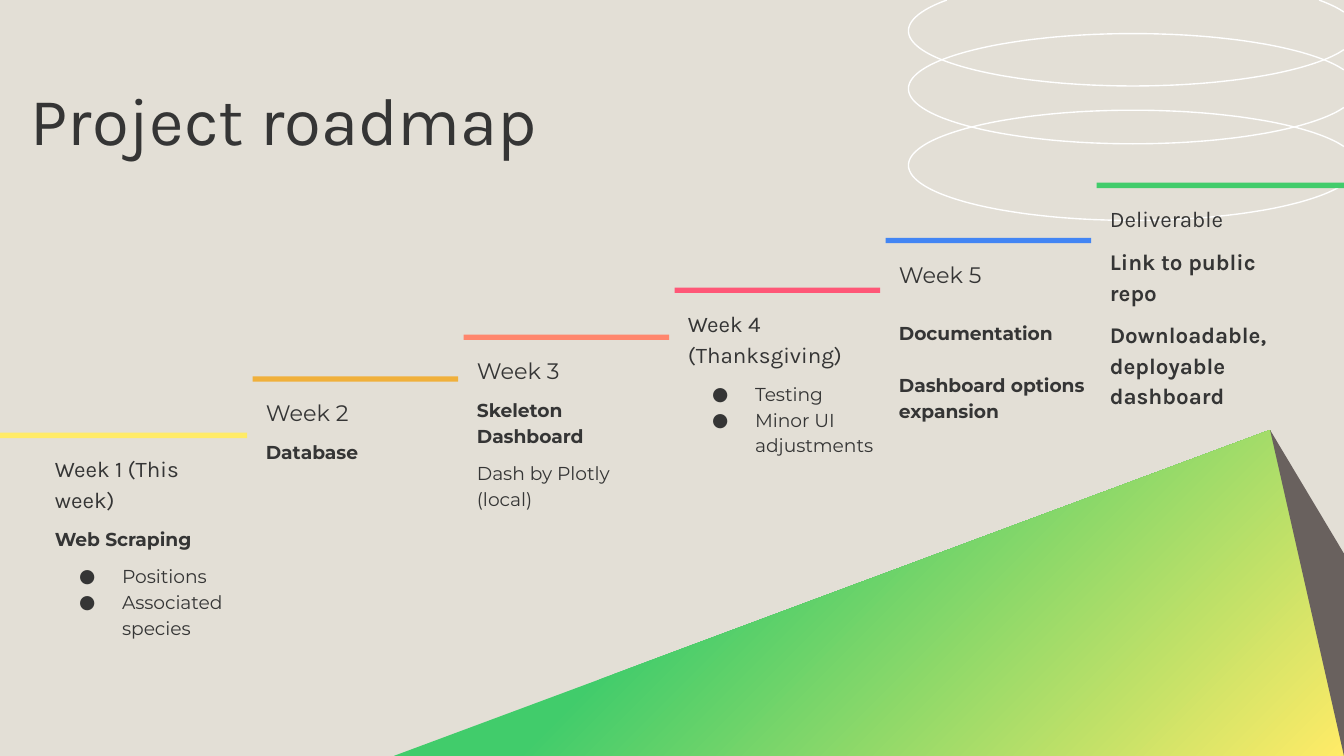
from dataclasses import dataclass
from math import cos, radians, sin

from lxml.etree import SubElement as Sub
from pptx import Presentation
from pptx.dml.color import RGBColor as Rgb
from pptx.enum.shapes import MSO_SHAPE as Kind
from pptx.oxml.ns import qn
from pptx.util import Inches, Pt


@dataclass(frozen=True)
class Theme:
    back: str = "E3DFD6"
    ink: str = "353535"
    ring: str = "FFFFFF"
    shade: str = "69615E"
    green: str = "41CC6B"
    yellow: str = "FFEB67"
    amber: str = "F0B03B"
    coral: str = "FF866D"
    pink: str = "FF5777"
    blue: str = "4285F4"
    karla: str = "Karla"
    mont: str = "Montserrat"
    title: int = 36
    head: int = 12
    body: int = 10


T = Theme()
WIDTH = 10
HEIGHT = WIDTH * 9 / 16
LEFT, STEP = 0.3, 1.57
WIDE, THICK = 1.53, 0.04


@dataclass
class Line:
    text: str
    size: int = T.body
    font: str = T.mont
    bold: bool = False
    dot: bool = False
    before: float = 6
    after: float = 0
    space: float = 1.15


@dataclass
class Stage:
    top: float
    color: str
    lines: list
    width: float = 1.52
    height: float = 1.3


def paint(shape, color):
    shape.shadow.inherit = False
    shape.fill.solid()
    shape.fill.fore_color.rgb = Rgb.from_string(color)
    shape.line.fill.background()


def add_bar(slide, left, top, width, color):
    bar = slide.shapes.add_shape(
        Kind.RECTANGLE, Inches(left), Inches(top), Inches(width), Inches(THICK))
    paint(bar, color)


def add_path(slide, points, close):
    spots = [(Inches(x), Inches(y)) for x, y in points]
    path = slide.shapes.build_freeform(*spots[0])
    path.add_line_segments(spots[1:], close=close)
    shape = path.convert_to_shape()
    shape.shadow.inherit = False
    return shape


def add_arc(slide, mid, start, end):
    turns = [radians(a) for a in range(start, end + 1, 2)]
    points = [(8.43 + 1.67 * cos(a), mid + 0.41 * sin(a)) for a in turns]
    arc = add_path(slide, points, False)
    arc.fill.background()
    arc.line.color.rgb = Rgb.from_string(T.ring)
    arc.line.width = Pt(0.75)


def add_peak(slide):
    tip, foot = (9.45, 3.2), (WIDTH, HEIGHT)
    face = add_path(slide, [tip, foot, (2.93, HEIGHT)], True)
    face.line.fill.background()
    face.fill.gradient()
    face.fill.gradient_angle = 315
    stops = zip(face.fill.gradient_stops, (0.35, 1), (T.green, T.yellow))
    for stop, place, color in stops:
        stop.position = place
        stop.color.rgb = Rgb.from_string(color)
    side = add_path(slide, [tip, foot, (WIDTH, 4.12)], True)
    paint(side, T.shade)


def add_dot(para, font):
    props = para._p.get_or_add_pPr()
    props.set("marL", str(Inches(0.5)))
    props.set("indent", str(Inches(-0.32)))
    Sub(props, qn("a:buFont")).set("typeface", font)
    Sub(props, qn("a:buChar")).set("char", "●")


def add_text(slide, left, top, width, height, lines):
    box = slide.shapes.add_textbox(
        Inches(left), Inches(top), Inches(width), Inches(height))
    frame = box.text_frame
    frame.word_wrap = True
    frame.margin_left = frame.margin_right = Inches(0.1)
    frame.margin_top = frame.margin_bottom = Inches(0.1)
    frame.text = "\n".join(line.text for line in lines)
    for para, line in zip(frame.paragraphs, lines):
        if line.dot:
            add_dot(para, line.font)
        para.line_spacing = line.space
        para.space_before = Pt(line.before)
        para.space_after = Pt(line.after)
        font = para.runs[0].font
        font.name, font.size, font.bold = line.font, Pt(line.size), line.bold
        font.color.rgb = Rgb.from_string(T.ink)


def head(text, font=T.mont):
    return Line(text, T.head, font, before=0)


STAGES = [
    Stage(3.22, T.yellow, [
        head("Week 1 (This week)", T.karla),
        Line("Web Scraping", bold=True),
        Line("Positions", dot=True),
        Line("Associated species", dot=True, before=0),
    ], height=1.48),
    Stage(2.8, T.amber, [
        head("Week 2"),
        Line("Database", bold=True, after=6),
    ]),
    Stage(2.49, T.coral, [
        head("Week 3"),
        Line("Skeleton Dashboard", bold=True),
        Line("Dash by Plotly (local)", after=6),
    ]),
    Stage(2.14, T.pink, [
        head("Week 4 (Thanksgiving)", T.karla),
        Line("Testing", dot=True),
        Line("Minor UI adjustments", dot=True, before=0),
    ], width=1.62, height=1.7),
    Stage(1.77, T.blue, [
        head("Week 5"),
        Line("Documentation", bold=True, before=16.5),
        Line("Dashboard options expansion", bold=True, before=14),
    ], width=1.62),
    Stage(1.36, T.green, [
        head("Deliverable", T.karla),
        Line("Link to public repo", T.head, T.karla, True),
        Line("Downloadable, deployable dashboard", T.head, T.karla, True, after=6),
    ], height=1.75),
]


def main():
    deck = Presentation()
    deck.slide_width, deck.slide_height = Inches(WIDTH), Inches(HEIGHT)
    slide = deck.slides.add_slide(deck.slide_layouts[6])
    slide.background.fill.solid()
    slide.background.fill.fore_color.rgb = Rgb.from_string(T.back)

    # Rings, cut at the slide edges
    for mid, start, end in [(0.23, 20, 214), (0.23, 326, 340),
                            (0.66, 20, 340), (1.23, 20, 340)]:
        add_arc(slide, mid, start, end)

    # Mountain
    add_peak(slide)

    # Title
    add_text(slide, 0.13, 0.55, 5.91, 0.75,
             [Line("Project roadmap", T.title, T.karla, before=0, space=0.9)])

    # Stairs: the outer bars run to the slide edges
    last = len(STAGES) - 1
    for i, stage in enumerate(STAGES):
        left = LEFT + 0.01 + i * STEP
        start = 0 if i == 0 else left
        end = WIDTH if i == last else left + WIDE
        add_bar(slide, start, stage.top, end - start, stage.color)
        add_text(slide, left, stage.top + THICK, stage.width, stage.height,
                 stage.lines)

    deck.save("out.pptx")


if __name__ == "__main__":
    main()
